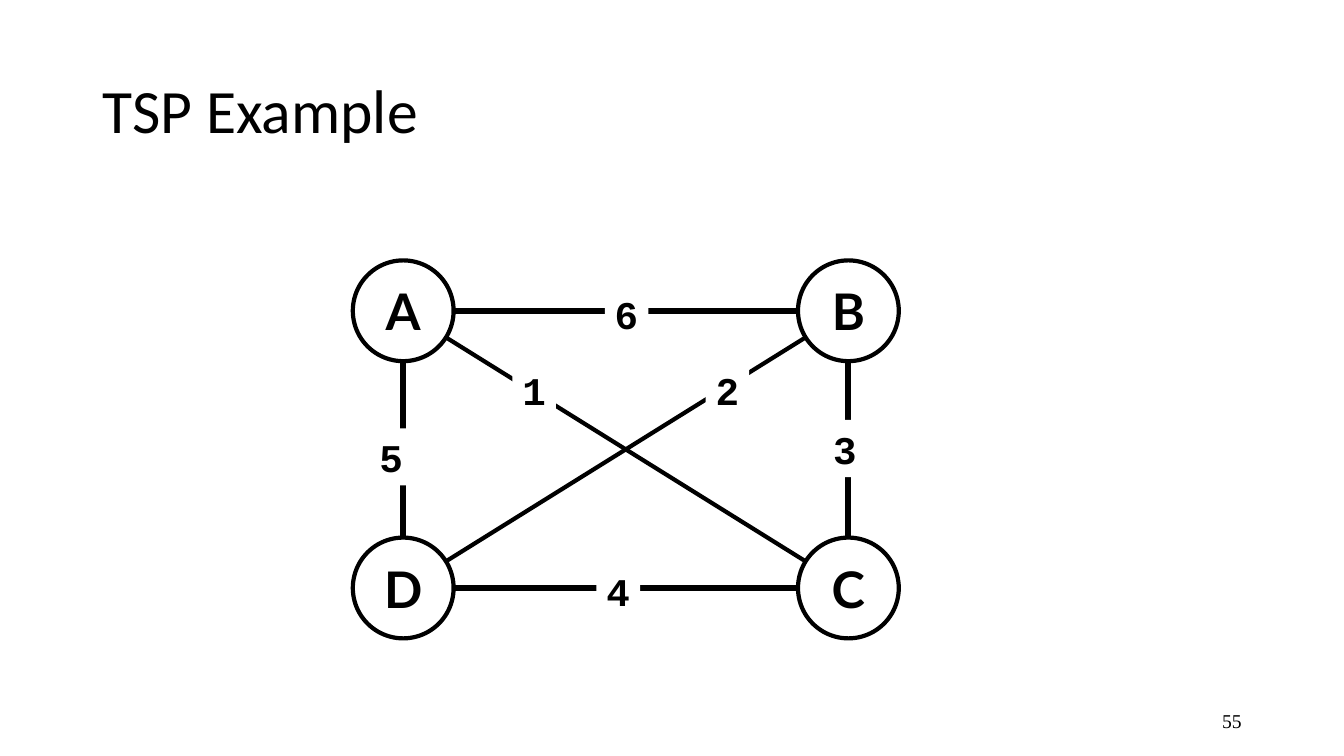
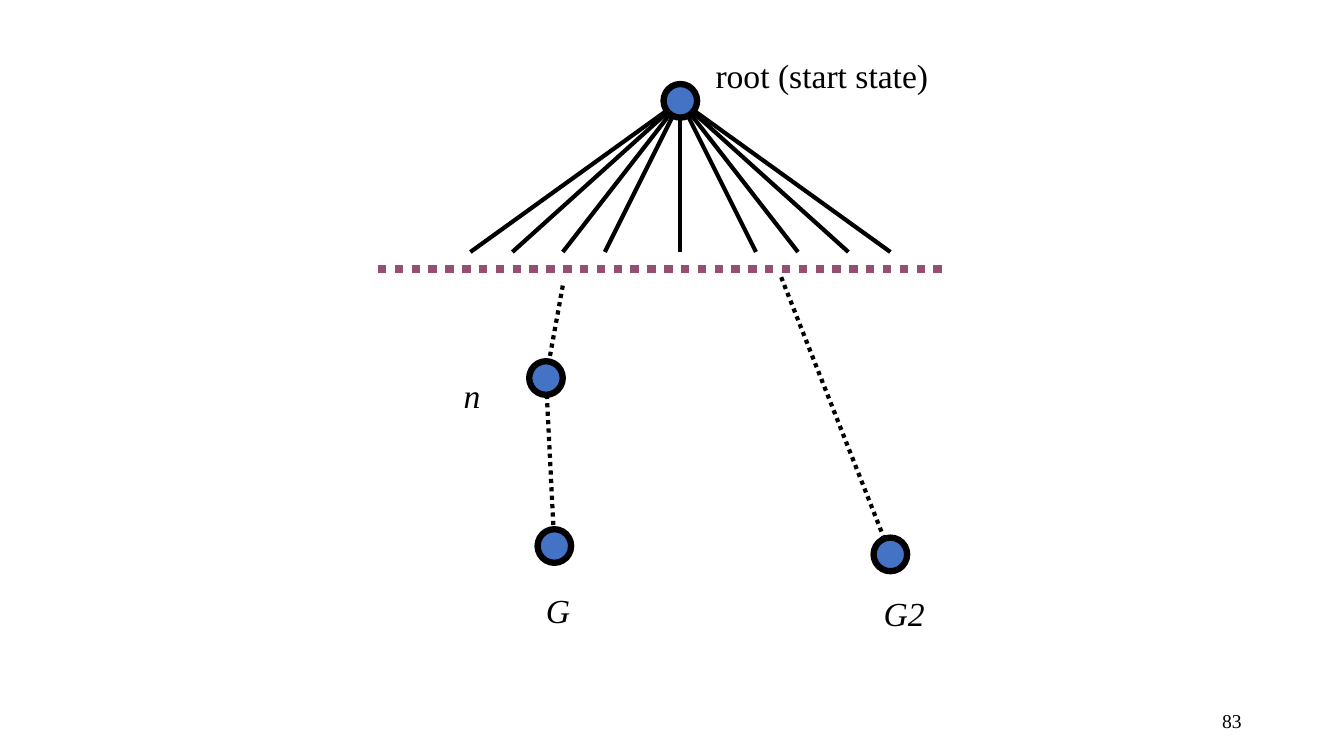
from dataclasses import dataclass

from lxml.etree import SubElement
from pptx import Presentation
from pptx.dml.color import RGBColor
from pptx.enum.dml import MSO_LINE
from pptx.enum.shapes import MSO_CONNECTOR, MSO_SHAPE
from pptx.enum.text import MSO_ANCHOR, MSO_AUTO_SIZE, PP_ALIGN
from pptx.oxml.ns import qn
from pptx.util import Inches, Pt

BLACK = RGBColor(0x00, 0x00, 0x00)
WHITE = RGBColor(0xFF, 0xFF, 0xFF)
BLUE = RGBColor(0x44, 0x72, 0xC4)
PLUM = RGBColor(0x95, 0x4F, 0x72)

TITLE_FONT = "Calibri"
NODE_FONT = "Lato"
COST_FONT = "Courier New"
SERIF = "Times New Roman"

SLIDE_W, SLIDE_H = Inches(13.33), Inches(7.5)
COLS, ROWS = 160, 90
TITLE_ONLY, BLANK = 5, 6


@dataclass
class Box:
    """A region measured in grid columns and rows of the slide."""
    left: float
    top: float
    width: float
    height: float

    def point(self, col, row):
        """Return the slide position of a cell counted from the box corner."""
        return (round((self.left + col) * SLIDE_W / COLS),
                round((self.top + row) * SLIDE_H / ROWS))

    def rect(self, col, row, width, height):
        """Return left, top, width and height of a part of the box."""
        x, y = self.point(col, row)
        return x, y, round(width * SLIDE_W / COLS), round(height * SLIDE_H / ROWS)


def write(sp, text, font, size, bold=False, italic=False, align=PP_ALIGN.LEFT):
    """Put one formatted paragraph into a shape."""
    tf = sp.text_frame
    tf.word_wrap = False
    p = tf.paragraphs[0]
    p.text = text
    p.alignment = align
    p.font.name, p.font.size = font, Pt(size)
    p.font.bold, p.font.italic = bold, italic
    p.font.color.rgb = BLACK
    return tf


def add_label(slide, rect, text, font, size, **style):
    """Add a text box that grows with its text."""
    sp = slide.shapes.add_textbox(*rect)
    write(sp, text, font, size, **style).auto_size = MSO_AUTO_SIZE.SHAPE_TO_FIT_TEXT
    return sp


def add_line(slide, start, end, width=3, color=BLACK, dash=None):
    """Draw a straight line without a shadow."""
    cx = slide.shapes.add_connector(MSO_CONNECTOR.STRAIGHT, *start, *end)
    cx.line.color.rgb, cx.line.width = color, Pt(width)
    if dash:
        cx.line.dash_style = dash
    SubElement(cx._element.spPr, qn("a:effectLst"))


def add_outlined(slide, kind, rect, fill, width):
    """Add a preset shape with a black outline and an optional fill."""
    sp = slide.shapes.add_shape(kind, *rect)
    sp.shadow.inherit = False
    if fill is None:
        sp.fill.background()
    else:
        sp.fill.solid()
        sp.fill.fore_color.rgb = fill
    sp.line.color.rgb, sp.line.width = BLACK, Pt(width)
    return sp


def add_circle(slide, box, center, size, fill, width):
    """Add a circle around a centre given in cells."""
    col, row = center
    rect = box.rect(col - size / 2, row - size / 2, size, size)
    return add_outlined(slide, MSO_SHAPE.OVAL, rect, fill, width)


def add_title(slide, box, text):
    """Place and format the title placeholder."""
    sp = slide.shapes.title
    sp.left, sp.top, sp.width, sp.height = box.rect(0, 0, box.width, box.height)
    tf = write(sp, text, TITLE_FONT, 44)
    tf.word_wrap = True
    tf.auto_size = MSO_AUTO_SIZE.NONE
    tf.vertical_anchor = MSO_ANCHOR.MIDDLE
    tf.paragraphs[0].line_spacing = 0.9


def add_page_number(slide, box, number):
    """Write the page number at the right of its box."""
    sp = slide.shapes.add_textbox(*box.rect(0, 0, box.width, box.height))
    tf = write(sp, str(number), SERIF, 14, align=PP_ALIGN.RIGHT)
    tf.word_wrap = True
    tf.vertical_anchor = MSO_ANCHOR.MIDDLE


def add_city_graph(slide, box):
    """Draw four cities at the corners of the box, joined by costed routes."""
    w, h = box.width, box.height
    cities = {"A": (0, 0), "B": (w, 0), "C": (w, h), "D": (0, h)}
    for start, end in ("AC", "BD"):
        add_line(slide, box.point(*cities[start]), box.point(*cities[end]))
    add_outlined(slide, MSO_SHAPE.RECTANGLE, box.rect(0, 0, w, h), None, 4.5)

    for name, center in cities.items():
        sp = add_circle(slide, box, center, 12, WHITE, 3)
        tf = write(sp, name, NODE_FONT, 36, bold=True, align=PP_ALIGN.CENTER)
        tf.vertical_anchor = MSO_ANCHOR.MIDDLE

    costs = {"4": (23, 30), "6": (24, -3), "3": (50, 13),
             "5": (-4, 14), "1": (13, 6), "2": (36, 6)}
    for cost, (col, row) in costs.items():
        sp = add_label(slide, box.rect(col, row, 5.2, 6.8), cost, COST_FONT, 28, bold=True)
        sp.fill.solid()
        sp.fill.fore_color.rgb = WHITE


def add_search_tree(slide, box):
    """Draw a root with its fan, the frontier and the paths to two goals."""
    root, node, goal, goal2 = (36, 6), (20, 39), (21, 59), (61, 60)
    frontier = 26
    for start, end in (((48, 27), goal2), (node, goal), ((22, 28), node)):
        add_line(slide, box.point(*start), box.point(*end), dash=MSO_LINE.ROUND_DOT)
    for offset in (-25, -20, -14, -9, 0, 9, 14, 20, 25):
        add_line(slide, box.point(*root), box.point(root[0] + offset, frontier - 2))
    add_line(slide, box.point(0, frontier), box.point(box.width, frontier),
             6, PLUM, MSO_LINE.ROUND_DOT)

    for center in (root, node, goal, goal2):
        add_circle(slide, box, center, 4, BLUE, 4.5)

    add_label(slide, box.rect(39, 0, 27.7, 6), "root (start state)", SERIF, 24)
    for text, col, row, width in (("n", 9, 38, 4.4), ("G", 18.8, 63.6, 5.3),
                                  ("G2", 59, 64, 7.3)):
        add_label(slide, box.rect(col, row, width, 6), text, SERIF, 24, italic=True)


def add_page(prs, layout, number):
    """Add a slide that carries its page number."""
    slide = prs.slides.add_slide(prs.slide_layouts[layout])
    add_page_number(slide, Box(113, 83.4, 36, 4.8), number)
    return slide


def main():
    """Build and save both slides."""
    prs = Presentation()
    prs.slide_width, prs.slide_height = SLIDE_W, SLIDE_H

    s = add_page(prs, TITLE_ONLY, 55)
    add_title(s, Box(11, 4.8, 138, 17.4), "TSP Example")
    add_city_graph(s, Box(48, 37, 53, 33))

    s = add_page(prs, BLANK, 83)
    add_search_tree(s, Box(45, 6, 68, 70))

    prs.save("out.pptx")


if __name__ == "__main__":
    main()
